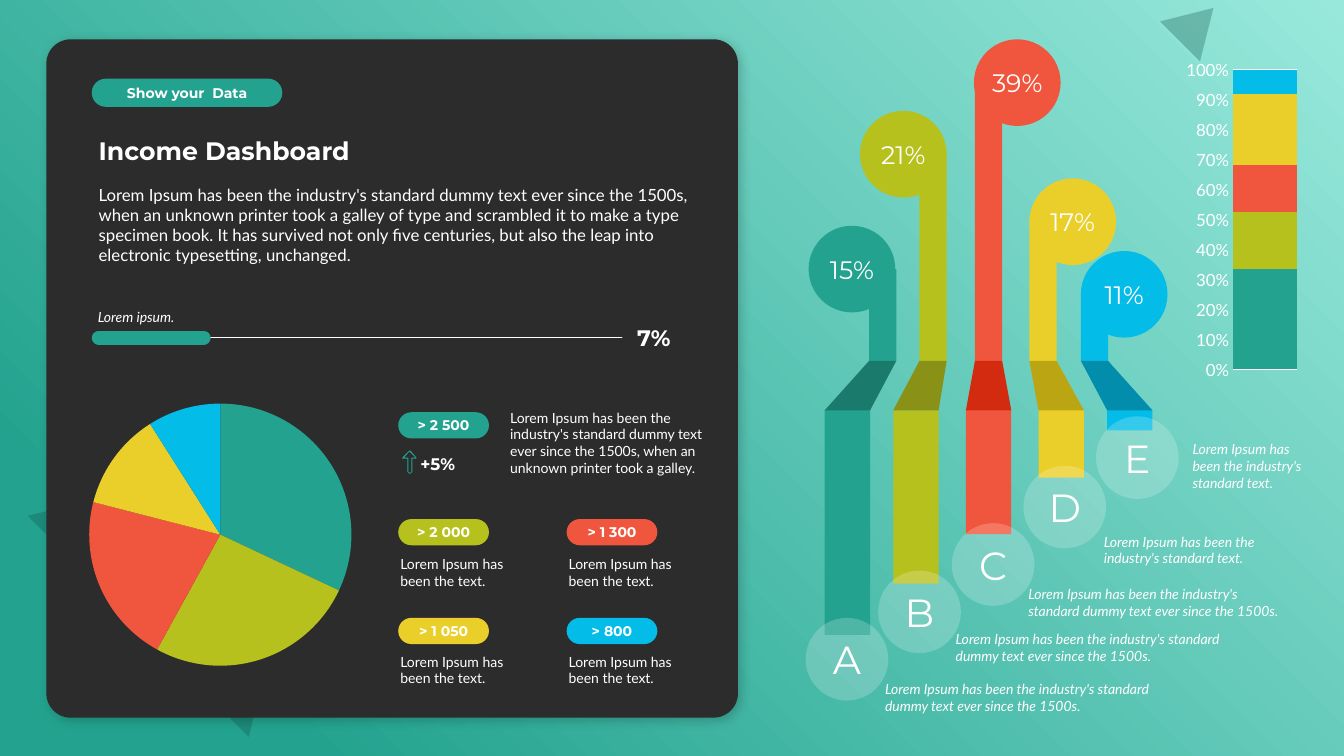
from lxml.etree import SubElement
from pptx import Presentation
from pptx.chart.data import CategoryChartData
from pptx.dml.color import RGBColor
from pptx.enum.chart import XL_CHART_TYPE as CHART, XL_TICK_MARK as TICK
from pptx.enum.shapes import MSO_CONNECTOR, MSO_SHAPE as SHAPE
from pptx.enum.text import MSO_ANCHOR as ANCHOR, MSO_AUTO_SIZE, PP_ALIGN
from pptx.oxml.ns import qn
from pptx.util import Inches, Pt

WHITE = RGBColor(0xFF, 0xFF, 0xFF)
CHARCOAL = RGBColor(0x2C, 0x2C, 0x2C)
MINT = RGBColor(0x98, 0xE9, 0xDC)
PINE = RGBColor(0x11, 0x52, 0x48)
TEAL = RGBColor(0x23, 0xA3, 0x8F)
LIME = RGBColor(0xB7, 0xC1, 0x1E)
RED = RGBColor(0xF0, 0x56, 0x3D)
YELLOW = RGBColor(0xEA, 0xCF, 0x2A)
BLUE = RGBColor(0x03, 0xBC, 0xE7)
DARK_TEAL = RGBColor(0x1A, 0x7A, 0x6B)
DARK_LIME = RGBColor(0x89, 0x91, 0x17)
DARK_RED = RGBColor(0xD2, 0x2B, 0x10)
DARK_YELLOW = RGBColor(0xBC, 0xA5, 0x13)
DARK_BLUE = RGBColor(0x02, 0x8D, 0xAD)
PALETTE = [TEAL, LIME, RED, YELLOW, BLUE]
HEAD, BODY = "Montserrat", "Lato"

deck = Presentation()
deck.slide_width, deck.slide_height = Inches(13.33), Inches(7.5)
page = deck.slides.add_slide(deck.slide_layouts[6])
page.background.fill.solid()
page.background.fill.fore_color.rgb = CHARCOAL


def add_block(kind, left, top, width, height, color, alpha=None):
    block = page.shapes.add_shape(kind, Inches(left), Inches(top), Inches(width), Inches(height))
    block.shadow.inherit = False
    block.line.fill.background()
    block.fill.solid()
    block.fill.fore_color.rgb = color
    if alpha:
        tint = block._element.spPr.find(".//" + qn("a:srgbClr"))
        SubElement(tint, qn("a:alpha")).set("val", str(alpha * 1000))
    return block


def write(shape, text, size, font, bold=False, italic=False, anchor=ANCHOR.MIDDLE,
          align=PP_ALIGN.CENTER, left=0, right=0):
    frame = shape.text_frame
    frame.word_wrap = True
    frame.vertical_anchor = anchor
    frame.margin_left, frame.margin_right = Inches(left), Inches(right)
    para = frame.paragraphs[0]
    para.alignment = align
    span = para.add_run()
    span.text = text
    span.font.size, span.font.name = Pt(size), font
    span.font.bold, span.font.italic = bold, italic
    span.font.color.rgb = WHITE


backdrop = add_block(SHAPE.RECTANGLE, 0, 0, 13.33, 7.5, TEAL)
backdrop.fill.gradient()
for stop, color, position in zip(backdrop.fill.gradient_stops, (MINT, TEAL), (0, 0.85)):
    stop.color.rgb, stop.position = color, position
gradient = backdrop._element.spPr.find(qn("a:gradFill"))
gradient.remove(gradient.find(qn("a:lin")))
glow = SubElement(gradient, qn("a:path"))
glow.set("path", "circle")
focus = SubElement(glow, qn("a:fillToRect"))
focus.set("l", "100000")
focus.set("b", "100000")

for left, top, width, height in ((0.73, 4.02, 3.1, 2.57), (11.59, 0.01, 0.56, 0.47)):
    add_block(SHAPE.ISOSCELES_TRIANGLE, left, top, width, height, PINE, 30).rotation = 45

panel = add_block(SHAPE.ROUNDED_RECTANGLE, 0.46, 0.39, 6.86, 6.73, CHARCOAL)
panel.adjustments[0] = 0.036
shadow = SubElement(panel._element.spPr.find(qn("a:effectLst")), qn("a:outerShdw"))
for key, value in (("blurRad", Pt(8)), ("dist", Pt(3)), ("dir", 45 * 60000)):
    shadow.set(key, str(int(value)))
shade = SubElement(shadow, qn("a:srgbClr"))
shade.set("val", "000000")
SubElement(shade, qn("a:alpha")).set("val", "20000")

for left, top, width, height, color, label in (
    (0.91, 0.78, 1.89, 0.28, TEAL, "Show your  Data"),
    (3.95, 4.09, 0.9, 0.26, TEAL, "> 2 500"),
    (3.95, 5.15, 0.9, 0.26, LIME, "> 2 000"),
    (5.62, 5.15, 0.9, 0.26, RED, "> 1 300"),
    (3.95, 6.13, 0.9, 0.26, YELLOW, "> 1 050"),
    (5.62, 6.13, 0.9, 0.26, BLUE, "> 800"),
):
    pill = add_block(SHAPE.ROUNDED_RECTANGLE, left, top, width, height, color)
    pill.adjustments[0] = 0.5
    pill.text_frame.margin_top = pill.text_frame.margin_bottom = 0
    write(pill, label, 10, HEAD, bold=True)

for start, end, color, weight in ((0.92, 6.17, WHITE, 0.5), (0.98, 2.02, TEAL, 10)):
    bar = page.shapes.add_connector(
        MSO_CONNECTOR.STRAIGHT, Inches(start), Inches(3.35), Inches(end), Inches(3.35))
    bar.line.color.rgb, bar.line.width = color, Pt(weight)
    bar.line._get_or_add_ln().set("cap", "rnd")
    SubElement(bar._element.spPr, qn("a:effectLst"))

arrow_outer = [(4.06, 4.47), (4.07, 4.47), (4.13, 4.54), (4.13, 4.55), (4.09, 4.55),
               (4.09, 4.68), (4.07, 4.7), (4.06, 4.7), (4.04, 4.68), (4.04, 4.55),
               (3.99, 4.55), (3.99, 4.54)]
arrow_inner = [(4.06, 4.48), (4.01, 4.54), (4.05, 4.54), (4.05, 4.68), (4.06, 4.69),
               (4.07, 4.69), (4.08, 4.68), (4.08, 4.54), (4.12, 4.54)]
outer, inner = [[(Inches(x), Inches(y)) for x, y in ring] for ring in (arrow_outer, arrow_inner)]
builder = page.shapes.build_freeform(*outer[0])
builder.add_line_segments(outer[1:])
builder.move_to(*inner[0])
builder.add_line_segments(inner[1:])
outlines = [(builder.convert_to_shape(), TEAL)]

strips = [
    (8.62, 8.18, 6.3, 8.02, 2.24, "15%", TEAL, DARK_TEAL),
    (9.12, 8.86, 5.79, 8.53, 1.1, "21%", LIME, DARK_LIME),
    (9.67, 9.58, 5.3, 9.66, 0.39, "39%", RED, DARK_RED),
    (10.21, 10.3, 4.74, 10.21, 1.77, "17%", YELLOW, DARK_YELLOW),
    (10.72, 10.98, 4.27, 10.72, 2.49, "11%", BLUE, DARK_BLUE),
]
STEM, LEG, FOLD_TOP, FOLD_BOTTOM, BUBBLE = 0.27, 0.45, 3.58, 4.07, 0.86
for stem, leg, foot, bubble_left, bubble_top, share, color, dark in strips:
    stem_top = bubble_top + BUBBLE / 2
    add_block(SHAPE.RECTANGLE, stem, stem_top, STEM, FOLD_TOP - stem_top, color)
    add_block(SHAPE.RECTANGLE, leg, FOLD_BOTTOM, LEG, foot - FOLD_BOTTOM, color)
    builder = page.shapes.build_freeform(Inches(stem), Inches(FOLD_TOP))
    builder.add_line_segments([
        (Inches(stem + STEM), Inches(FOLD_TOP)), (Inches(leg + LEG), Inches(FOLD_BOTTOM)),
        (Inches(leg), Inches(FOLD_BOTTOM))])
    outlines.append((builder.convert_to_shape(), dark))

for outline, color in outlines:
    outline.shadow.inherit = False
    outline.line.fill.background()
    outline.fill.solid()
    outline.fill.fore_color.rgb = color

for stem, leg, foot, left, top, share, color, dark in reversed(strips):
    write(add_block(SHAPE.OVAL, left, top, BUBBLE, BUBBLE, color), share, 18, HEAD)

for letter, left, top in (("A", 7.99, 6.13), ("B", 8.71, 5.66), ("C", 9.44, 5.19),
                          ("D", 10.15, 4.62), ("E", 10.87, 4.13)):
    write(add_block(SHAPE.OVAL, left, top, 0.82, 0.82, WHITE, 20), letter, 28, HEAD)

INTRO = ("Lorem Ipsum has been the industry's standard dummy text ever since the 1500s, when an "
         "unknown printer took a galley of type and scrambled it to make a type specimen book. It has "
         "survived not only five centuries, but also the leap into electronic typesetting, unchanged.")
DETAIL = ("Lorem Ipsum has been the industry's standard dummy text ever since the 1500s, "
          "when an unknown printer took a galley.")
LONG = "Lorem Ipsum has been the industry's standard dummy text ever since the 1500s."
SHORT = "Lorem Ipsum has been the industry's standard text."
BRIEF = "Lorem Ipsum has been the text."
plain = dict(font=BODY, size=10, anchor=ANCHOR.TOP)
padded = dict(plain, left=0.1, right=0.1)
note = dict(padded, italic=True)
heading = dict(font=HEAD, bold=True, left=0.1, right=0.1)
texts = [
    (0.88, 1.78, 6.16, 0.91, INTRO, dict(padded, size=12)),
    (0.88, 1.29, 6.16, 0.4, "Income Dashboard", dict(heading, size=18, anchor=ANCHOR.BOTTOM)),
    (6.22, 3.16, 0.95, 0.37, "7%", dict(heading, size=16)),
    (0.89, 3.01, 1.92, 0.27, "Lorem ipsum.", dict(note, anchor=ANCHOR.BOTTOM, left=0.08)),
    (4.17, 4.45, 1.27, 0.3, "+5%", dict(font=HEAD, size=12, bold=True, anchor=ANCHOR.TOP)),
    (5.06, 4.01, 2.1, 0.77, DETAIL, plain),
    (8.68, 6.7, 3.05, 0.44, LONG, note),
    (9.38, 6.21, 3.05, 0.44, LONG, note),
    (10.1, 5.76, 2.71, 0.44, LONG, note),
    (10.85, 5.24, 1.95, 0.44, SHORT, note),
    (11.73, 4.32, 1.43, 0.61, SHORT, note),
]
texts += [(left, top, 1.31, 0.44, BRIEF, plain) for top in (5.46, 6.43) for left in (3.97, 5.64)]
for left, top, width, height, text, style in texts:
    box = page.shapes.add_textbox(Inches(left), Inches(top), Inches(width), Inches(height))
    write(box, text, align=PP_ALIGN.LEFT, **style)
    box.text_frame.auto_size = MSO_AUTO_SIZE.SHAPE_TO_FIT_TEXT

pie_data = CategoryChartData()
pie_data.categories = ["1", "2", "3", "4", "5"]
pie_data.add_series("Series 1", [32, 26, 21, 12, 9])
pie = page.shapes.add_chart(
    CHART.PIE, Inches(0.6), Inches(3.86), Inches(3.14), Inches(2.89), pie_data).chart
for index, color in enumerate(PALETTE):
    wedge = pie.plots[0].series[0].points[index].format
    wedge.fill.solid()
    wedge.fill.fore_color.rgb = color
    wedge.line.fill.background()

stack_data = CategoryChartData()
stack_data.categories = ["1"]
for number, value in enumerate([34, 19, 16, 24, 8], 1):
    stack_data.add_series(f"Series {number}", [value])
stack = page.shapes.add_chart(CHART.COLUMN_STACKED_100, Inches(11.75), Inches(0.53),
                              Inches(1.14), Inches(3.3), stack_data).chart
stack.plots[0].overlap, stack.plots[0].gap_width = 100, 0
for series, color in zip(stack.plots[0].series, PALETTE):
    series.format.fill.solid()
    series.format.fill.fore_color.rgb = color
stack.category_axis.visible = False
scale = stack.value_axis
scale.maximum_scale, scale.minimum_scale, scale.major_unit = 1, 0, 0.1
scale.major_tick_mark = scale.minor_tick_mark = TICK.NONE
scale.format.line.fill.background()
scale.tick_labels.number_format, scale.tick_labels.number_format_is_linked = "0%", False
scale.major_gridlines.format.line.color.rgb = WHITE
scale.major_gridlines.format.line.width = Pt(0.75)

for chart, size, frame in ((pie, 10, (0.09, 0.05, 0.83, 0.9)), (stack, 12, (0.42, 0.05, 0.56, 0.9))):
    chart.has_title = chart.has_legend = False
    chart.font.size, chart.font.name, chart.font.color.rgb = Pt(size), BODY, WHITE
    chart.plots[0].vary_by_categories = chart is pie
    plot_area = chart._chartSpace.chart.plotArea
    for old in plot_area.findall(qn("c:layout")):
        plot_area.remove(old)
    layout = SubElement(plot_area, qn("c:layout"))
    plot_area.insert(0, layout)
    manual = SubElement(layout, qn("c:manualLayout"))
    for key, value in (("layoutTarget", "inner"), ("xMode", "edge"), ("yMode", "edge"),
                       *zip("xywh", frame)):
        SubElement(manual, qn("c:" + key)).set("val", str(value))

deck.save("out.pptx")
